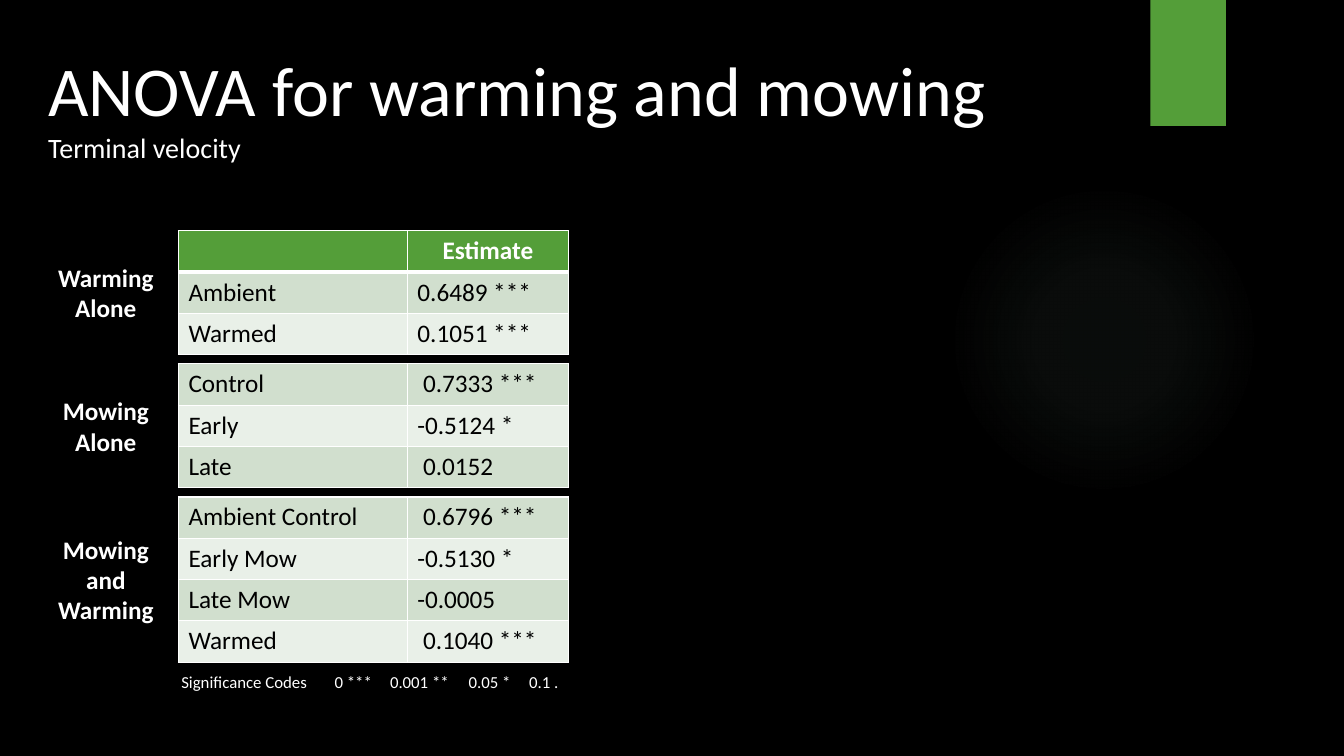
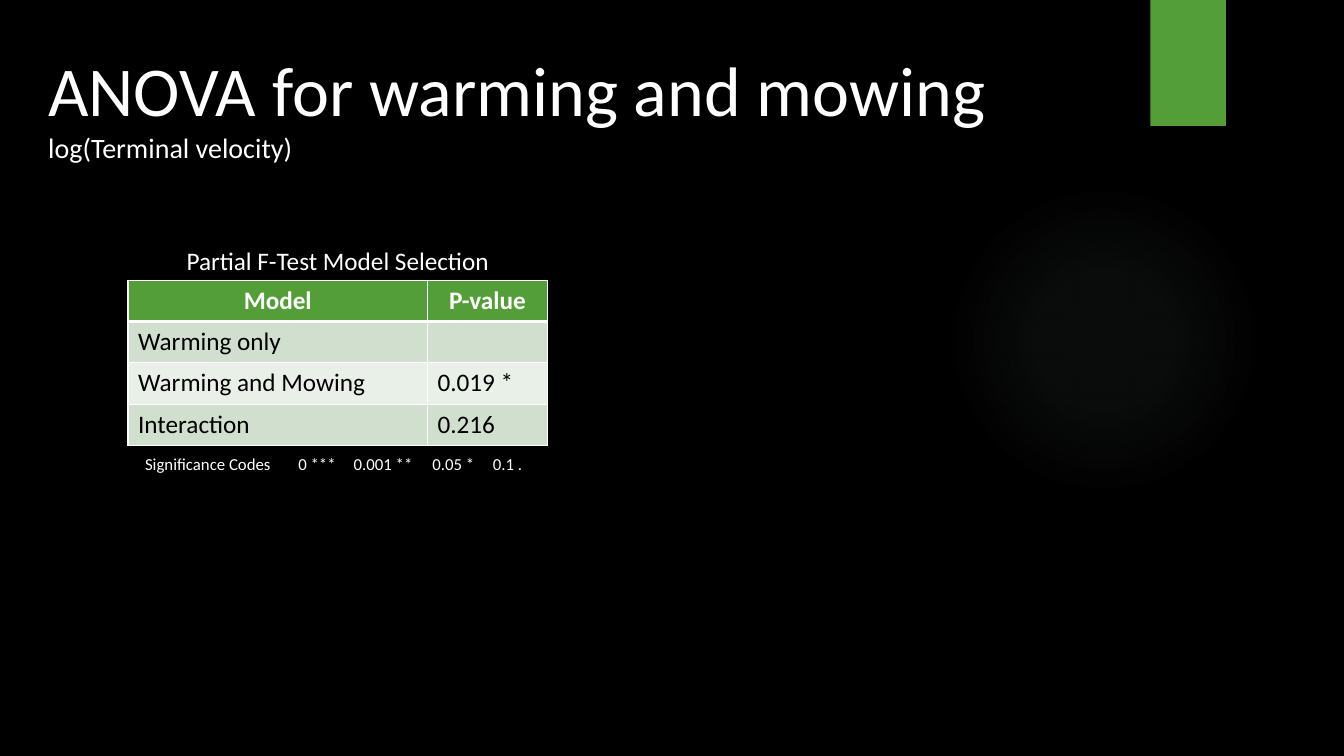
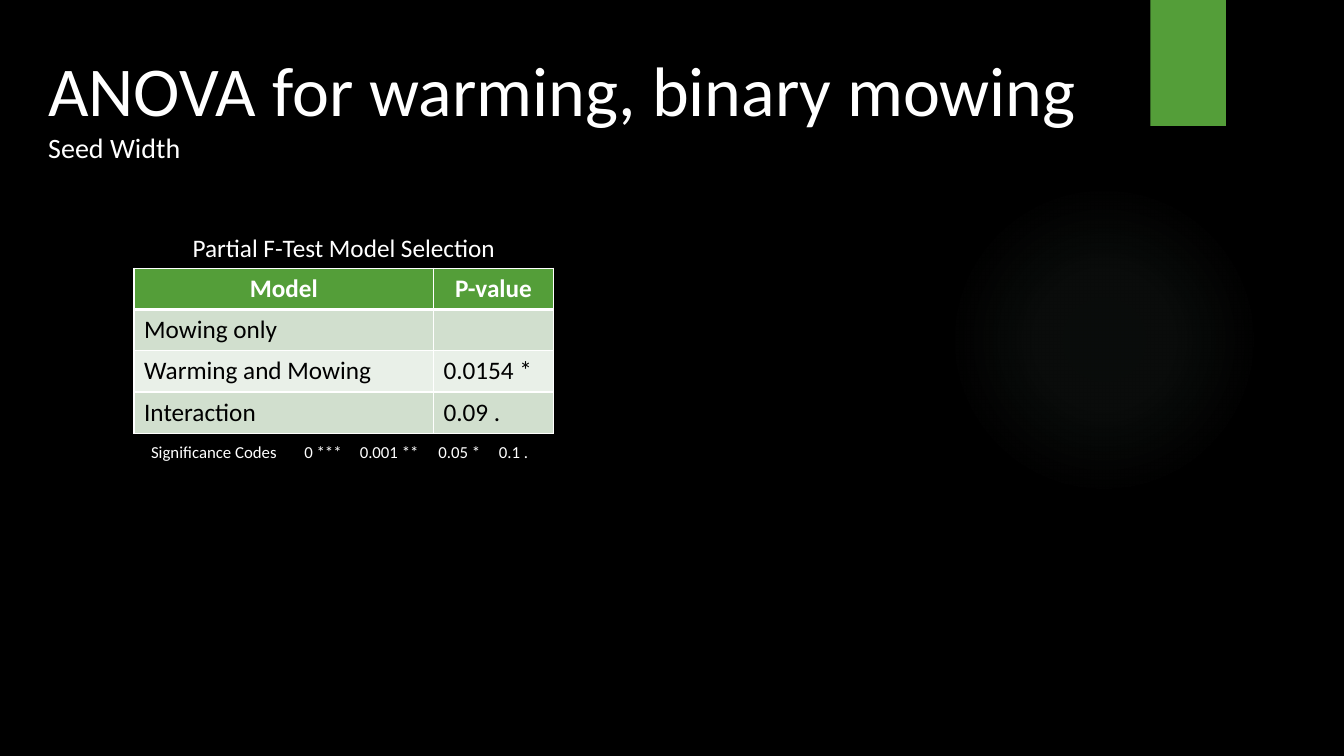
from lxml import etree
from pptx import Presentation
from pptx.dml.color import RGBColor
from pptx.enum import shapes, text
from pptx.oxml import parse_xml
from pptx.util import Inches, Pt

A = "http://schemas.openxmlformats.org/drawingml/2006/main"
FONT = "Calibri"
GREEN, WHITE, BLACK, GLOW = "549E39", "FFFFFF", "000000", "87A896"
STRIPES = ("D1DFCE", "E9F0E8")
ROW = 0.41
CODES = "Significance Codes\t0 ***\t0.001 **\t0.05 *\t0.1 ."
CODE_TABS = (1.52, 2.07, 2.85, 3.45)
color = RGBColor.from_string


def add_text(page, left, top, width, height, lines, sizes, bold=False, centred=False, tabs=()):
    """Add a white text box with one paragraph per line, each in its own size."""
    box = page.shapes.add_textbox(Inches(left), Inches(top), Inches(width), Inches(height))
    frame = box.text_frame
    frame.word_wrap = True
    frame.vertical_anchor = text.MSO_ANCHOR.MIDDLE
    frame.text = "\n".join(lines)
    for para, size in zip(frame.paragraphs, sizes):
        if centred:
            para.alignment = text.PP_ALIGN.CENTER
        if tabs:
            stops = etree.SubElement(para._p.get_or_add_pPr(), f"{{{A}}}tabLst")
            for stop in tabs:
                etree.SubElement(stops, f"{{{A}}}tab", pos=str(Inches(stop)), algn="l")
        for span in para.runs:
            span.font.name = FONT
            span.font.size = Pt(size)
            span.font.bold = bold
            span.font.color.rgb = color(WHITE)


def add_table(page, left, top, widths, rows, header=True):
    """Add a striped table with white borders; return its height in inches."""
    height = ROW * len(rows)
    frame = page.shapes.add_table(len(rows), len(widths), Inches(left), Inches(top),
                                  Inches(sum(widths)), Inches(height))
    table = frame.table
    table.first_row = header
    for column, width in zip(table.columns, widths):
        column.width = Inches(width)
    for r, values in enumerate(rows):
        table.rows[r].height = Inches(ROW)
        is_header = header and r == 0
        for c, value in enumerate(values):
            cell = table.cell(r, c)
            cell.fill.solid()
            cell.fill.fore_color.rgb = color(GREEN if is_header else STRIPES[(r - header) % 2])
            cell.text = value
            para = cell.text_frame.paragraphs[0]
            para.font.size = Pt(18)
            if is_header:
                para.alignment = text.PP_ALIGN.CENTER
            for span in para.runs:
                span.font.name = FONT
                span.font.size = Pt(18)
                span.font.bold = is_header
                span.font.color.rgb = color(WHITE if is_header else BLACK)
            for position, side in enumerate("LRTB"):
                under_header = header and (r, side) in ((0, "B"), (1, "T"))
                cell._tc.get_or_add_tcPr().insert(position, parse_xml(
                    f'<a:ln{side} xmlns:a="{A}" w="{Pt(3 if under_header else 1)}"><a:solidFill>'
                    f'<a:srgbClr val="{WHITE}"/></a:solidFill></a:ln{side}>'))
    return height


deck = Presentation()
deck.slide_width, deck.slide_height = Inches(13.33), Inches(7.5)
background = deck.slide_master.background.fill
background.solid()
background.fore_color.rgb = color(BLACK)

# Shared frame: glow, green band, title with subtitle
glow_stops = "".join(
    f'<a:gs pos="{position}000"><a:srgbClr val="{GLOW}"><a:alpha val="{alpha}000"/></a:srgbClr></a:gs>'
    for position, alpha in ((0, 7), (36, 6), (69, 0), (100, 0)))
titles = [
    ("ANOVA for warming and mowing", "Terminal velocity"),
    ("ANOVA for warming and mowing", "log(Terminal velocity)"),
    ("ANOVA for warming, binary mowing", "Seed Width"),
]
pages = []
for title in titles:
    page = deck.slides.add_slide(deck.slide_layouts[6])
    pages.append(page)
    glow = page.shapes.add_shape(shapes.MSO_SHAPE.OVAL, Inches(9.41), Inches(1.83),
                                 Inches(3.08), Inches(3.08))
    glow.shadow.inherit = False
    glow.line.fill.background()
    glow._element.spPr.find(f"{{{A}}}prstGeom").addnext(parse_xml(
        f'<a:gradFill xmlns:a="{A}"><a:gsLst>{glow_stops}</a:gsLst><a:path path="circle">'
        '<a:fillToRect l="50000" t="50000" r="50000" b="50000"/></a:path></a:gradFill>'))
    band = page.shapes.add_shape(shapes.MSO_SHAPE.RECTANGLE, Inches(11.41), 0,
                                 Inches(0.75), Inches(1.25))
    band.shadow.inherit = False
    band.fill.solid()
    band.fill.fore_color.rgb = color(GREEN)
    band.line.fill.background()
    add_text(page, 0.38, 0.4, 10.9, 1.28, title, (50, 20))

# Slide 1: stacked estimate tables
estimates = [
    ("Warming Alone", True, [("", "Estimate"), ("Ambient", "0.6489 ***"), ("Warmed", "0.1051 ***")]),
    ("Mowing Alone", False, [("Control", " 0.7333 ***"), ("Early", "-0.5124 *"), ("Late", " 0.0152")]),
    ("Mowing and Warming", False, [("Ambient Control", " 0.6796 ***"), ("Early Mow", "-0.5130 *"),
                                   ("Late Mow", "-0.0005"), ("Warmed", " 0.1040 ***")]),
]
top = 2.29
for label, header, rows in estimates:
    height = add_table(pages[0], 1.77, top, (2.27, 1.6), rows, header)
    add_text(pages[0], 0.43, top, 1.24, height, [label], [18], bold=True, centred=True)
    top += height + 0.09
add_text(pages[0], 1.7, 6.61, 4.2, 0.3, [CODES], [12], tabs=CODE_TABS)

# Slides 2 and 3: model selection
selections = [
    (pages[1], 1.27, 2.78, "Warming only", "0.019 *", "0.216"),
    (pages[2], 1.33, 2.66, "Mowing only", "0.0154 *", "0.09 ."),
]
for page, left, top, base_model, both_p, interaction_p in selections:
    rows = [("Model", "P-value"), (base_model, ""),
            ("Warming and Mowing", both_p), ("Interaction", interaction_p)]
    add_text(page, left, top - 0.4, 4.16, 0.4, ["Partial F-Test Model Selection"], [18], centred=True)
    height = add_table(page, left, top, (2.97, 1.19), rows)
    add_text(page, left + 0.07, top + height + 0.03, 4.2, 0.3, [CODES], [12], tabs=CODE_TABS)

deck.save("out.pptx")
